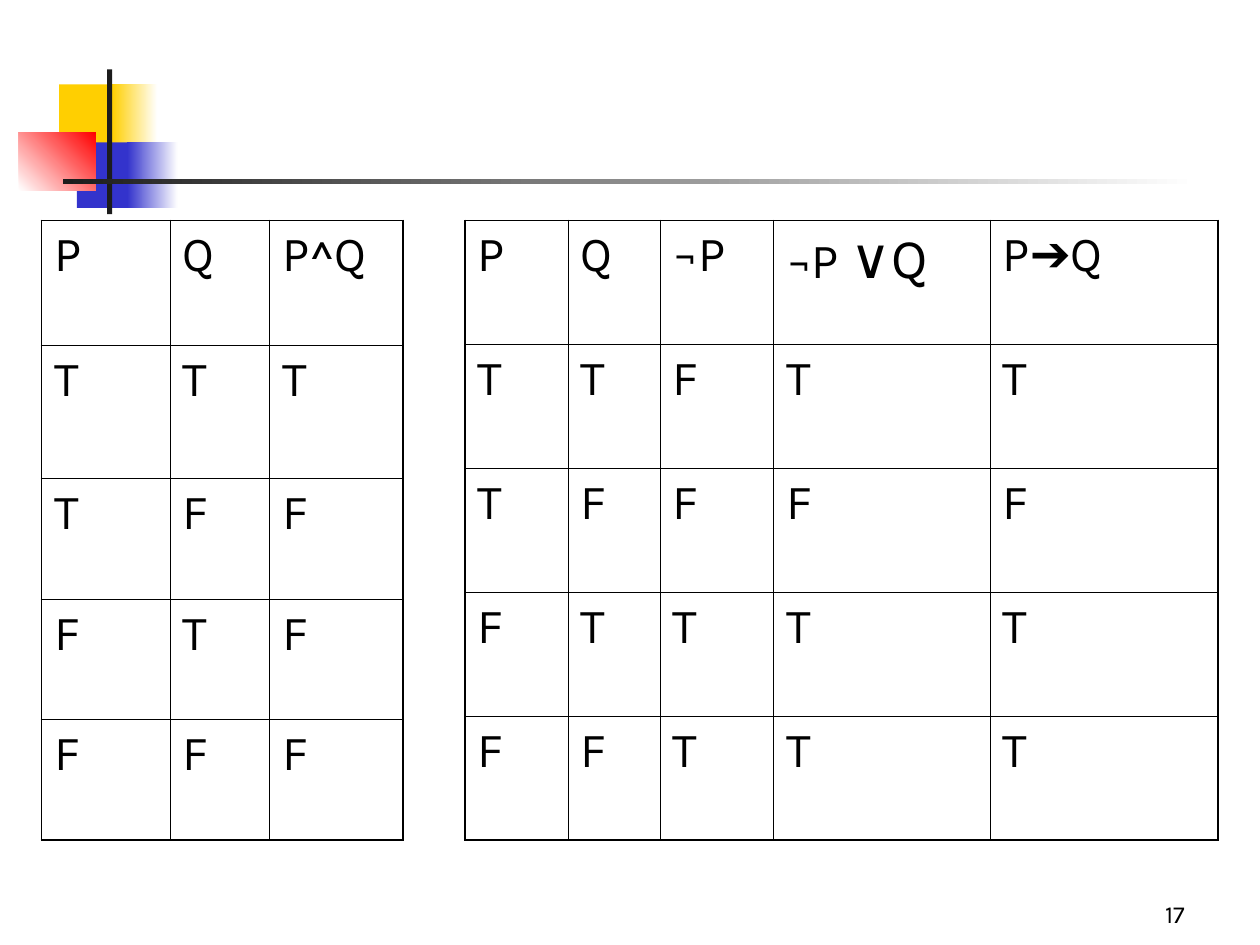
from lxml import etree
from pptx import Presentation
from pptx.dml.color import RGBColor
from pptx.enum.shapes import MSO_SHAPE
from pptx.enum.text import MSO_ANCHOR, PP_ALIGN
from pptx.oxml.ns import qn
from pptx.util import Inches, Pt

RECTANGLE = MSO_SHAPE.RECTANGLE
BOTTOM = MSO_ANCHOR.BOTTOM
RIGHT = PP_ALIGN.RIGHT
BLANK_LAYOUT = 6

YELLOW, BLUE, RED = "FFCF01", "3333CC", "FF0000"
DARK, BLACK, WHITE = "1C1C1C", "000000", "FFFFFF"


def rgb(value):
    return RGBColor.from_string(value)


class SlideBuilder:
    font = "Karla"
    symbol_font = "Arial"
    text_size = 28
    outer_border = 1.08
    inner_border = 0.45

    def __init__(self, slide):
        self.slide = slide

    def add_run(self, paragraph, text, size=text_size, font=font):
        run = paragraph.add_run()
        run.text = text
        run.font.size = Pt(size)
        run.font.name = font
        run.font.color.rgb = rgb(BLACK)

    def block(self, box, start, end=None, angle=0):
        """Rectangle filled with one colour, or fading from start to end."""
        rect = self.slide.shapes.add_shape(RECTANGLE, *map(Inches, box))
        rect.shadow.inherit = False
        rect.line.fill.background()
        if end is None:
            rect.fill.solid()
            rect.fill.fore_color.rgb = rgb(start)
            return
        rect.fill.gradient()
        rect.fill.gradient_angle = angle
        for stop, colour in zip(rect.fill.gradient_stops, (start, end)):
            stop.color.rgb = rgb(colour)

    def page_number(self, box, text):
        frame = self.slide.shapes.add_textbox(*map(Inches, box)).text_frame
        frame.word_wrap = True
        frame.vertical_anchor = BOTTOM
        paragraph = frame.paragraphs[0]
        paragraph.alignment = RIGHT
        self.add_run(paragraph, text, size=14)

    def border(self, cell, side, width):
        line = etree.SubElement(cell._tc.get_or_add_tcPr(), qn(f"a:ln{side}"),
                                w=str(Pt(width)))
        fill = etree.SubElement(line, qn("a:solidFill"))
        etree.SubElement(fill, qn("a:srgbClr"), val=BLACK)

    def truth_table(self, left, top, widths, heights, header, values):
        """header: a list of runs per column; values: one string per row."""
        rows = [header] + [[[(value,)] for value in row] for row in values]
        table = self.slide.shapes.add_table(
            len(rows), len(widths), Inches(left), Inches(top),
            Inches(sum(widths)), Inches(sum(heights))).table
        table.first_row = table.horz_banding = False
        for column, width in zip(table.columns, widths):
            column.width = Inches(width)
        for row, height in zip(table.rows, heights):
            row.height = Inches(height)
        last_row, last_column = len(rows) - 1, len(widths) - 1
        for r, row in enumerate(rows):
            for c, runs in enumerate(row):
                cell = table.cell(r, c)
                edges = {"L": c == 0, "R": c == last_column,
                         "T": r == 0, "B": r == last_row}
                for side, is_outer in edges.items():
                    self.border(cell, side, self.outer_border if is_outer
                                else self.inner_border)
                cell.fill.background()
                for run in runs:
                    self.add_run(cell.text_frame.paragraphs[0], *run)


def main():
    presentation = Presentation()
    presentation.slide_width, presentation.slide_height = Inches(10), Inches(7.5)
    layout = presentation.slide_layouts[BLANK_LAYOUT]
    builder = SlideBuilder(presentation.slides.add_slide(layout))

    # Corner ornament and rule
    builder.block((0.47, 0.67, 0.48, 0.52), YELLOW)
    builder.block((0.89, 0.67, 0.36, 0.52), YELLOW, WHITE)
    builder.block((0.61, 1.13, 0.46, 0.52), BLUE)
    builder.block((1.01, 1.13, 0.4, 0.52), BLUE, WHITE)
    builder.block((0.15, 1.05, 0.61, 0.46), WHITE, RED, angle=45)
    builder.block((0.85, 0.55, 0.04, 1.15), DARK)
    builder.block((0.5, 1.42, 9, 0.04), DARK, WHITE)

    # Page number
    builder.page_number((7.42, 6.92, 2.08, 0.5), "17")

    # Conjunction
    builder.truth_table(
        0.33, 1.75, [1.02, 0.79, 1.06], [0.99, 1.06, 0.96, 0.95, 0.96],
        [[("P",)], [("Q",)], [("P^Q",)]],
        ["TTT", "TFF", "FTF", "FFF"])

    # Implication and its equivalent disjunction
    disjunction = [("¬P ",), ("∨Q", 32)]
    implication = [("P",), ("➔", builder.text_size, builder.symbol_font), ("Q",)]
    builder.truth_table(
        3.69, 1.75, [0.82, 0.73, 0.9, 1.72, 1.81], [4.92 / 5] * 5,
        [[("P",)], [("Q",)], [("¬P",)], disjunction, implication],
        ["TTFTT", "TFFFF", "FTTTT", "FFTTT"])

    presentation.save("out.pptx")


if __name__ == "__main__":
    main()
